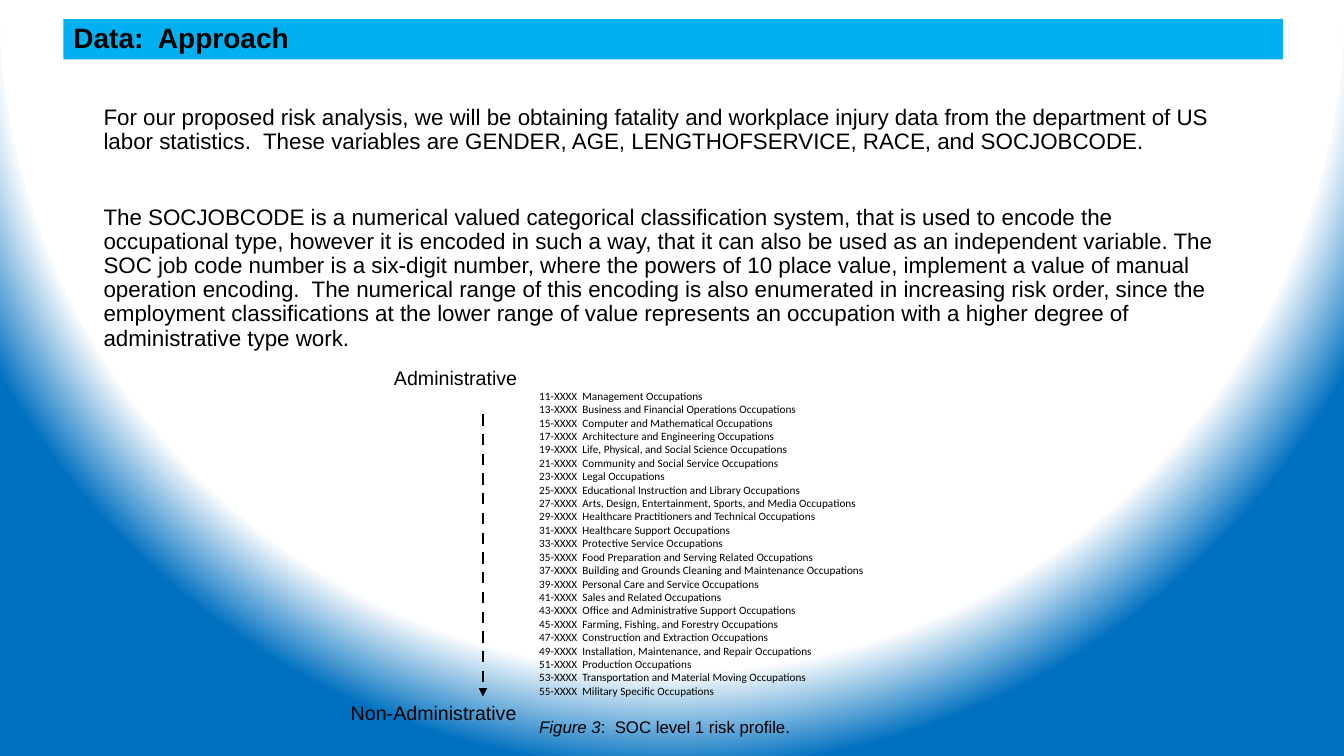
from lxml import etree
from pptx import Presentation
from pptx.dml.color import RGBColor
from pptx.enum import dml, shapes, text
from pptx.oxml import parse_xml
from pptx.oxml.ns import nsdecls, qn
from pptx.util import Cm, Pt


def color(value):
    return RGBColor.from_string(value)


def add_text(left, top, width, height, lines, size, font="Arial", wrap=True):
    tf = s.shapes.add_textbox(Cm(left), Cm(top), Cm(width), Cm(height)).text_frame
    tf.word_wrap = wrap
    tf.text = "\n".join(lines)
    for p in tf.paragraphs:
        for r in p.runs:
            r.font.name = font
            r.font.size = Pt(size)
            r.font.color.rgb = color("000000")
    return tf


prs = Presentation()
prs.slide_width, prs.slide_height = Cm(33.87), Cm(19.05)
s = prs.slides.add_slide(prs.slide_layouts[6])

fill = s.background.fill
fill.gradient()
for stop, (position, value) in zip(fill.gradient_stops, [(0.87, "FFFFFF"), (1, "0070C0")]):
    stop.position = position
    stop.color.rgb = color(value)
lin = next(s.background._cSld.iter(qn("a:lin")))
lin.getparent().replace(lin, parse_xml(
    f'<a:path {nsdecls("a")} path="circle">'
    '<a:fillToRect l="50000" t="-80000" r="50000" b="180000"/></a:path>'))

approach = [
    "For our proposed risk analysis, we will be obtaining fatality and workplace injury data "
    "from the department of US labor statistics.  These variables are GENDER, AGE, "
    "LENGTHOFSERVICE, RACE, and SOCJOBCODE.",
    "The SOCJOBCODE is a numerical valued categorical classification system, that is used to "
    "encode the occupational type, however it is encoded in such a way, that it can also be used "
    "as an independent variable. The SOC job code number is a six-digit number, where the powers "
    "of 10 place value, implement a value of manual operation encoding.  The numerical range of "
    "this encoding is also enumerated in increasing risk order, since the employment "
    "classifications at the lower range of value represents an occupation with a higher degree "
    "of administrative type work.",
]
tf = add_text(2.36, 2.54, 29.21, 10.15, approach, 16)
for p in tf.paragraphs:
    p.line_spacing = 0.9
tf.paragraphs[1].space_before = Pt(37)

occupations = [
    "Management",
    "Business and Financial Operations",
    "Computer and Mathematical",
    "Architecture and Engineering",
    "Life, Physical, and Social Science",
    "Community and Social Service",
    "Legal",
    "Educational Instruction and Library",
    "Arts, Design, Entertainment, Sports, and Media",
    "Healthcare Practitioners and Technical",
    "Healthcare Support",
    "Protective Service",
    "Food Preparation and Serving Related",
    "Building and Grounds Cleaning and Maintenance",
    "Personal Care and Service",
    "Sales and Related",
    "Office and Administrative Support",
    "Farming, Fishing, and Forestry",
    "Construction and Extraction",
    "Installation, Maintenance, and Repair",
    "Production",
    "Transportation and Material Moving",
    "Military Specific",
]
codes = [f"{11 + 2 * i}-XXXX  {name} Occupations" for i, name in enumerate(occupations)]
add_text(13.34, 9.68, 8.79, 8.13, codes, 8, "Calibri", wrap=False)

arrow = s.shapes.add_connector(
    shapes.MSO_CONNECTOR.STRAIGHT, Cm(12.17), Cm(10.44), Cm(12.17), Cm(17.55))
arrow.line.color.rgb = color("000000")
arrow.line.width = Pt(2)
arrow.line.dash_style = dml.MSO_LINE.DASH
etree.SubElement(arrow.line._get_or_add_ln(), qn("a:tailEnd"), type="triangle")
etree.SubElement(arrow._element.spPr, qn("a:effectLst"))

add_text(9.68, 9.09, 4.39, 0.86, ["Administrative"], 14)
add_text(8.59, 17.53, 4.75, 0.86, ["Non-Administrative"], 14)

title = s.shapes.add_shape(shapes.MSO_SHAPE.RECTANGLE, Cm(1.6), Cm(0.48), Cm(30.73), Cm(1.02))
title.shadow.inherit = False
title.fill.solid()
title.fill.fore_color.rgb = color("00B0F0")
title.line.fill.background()
tf = title.text_frame
tf.text = "Data:  Approach"
tf.vertical_anchor = text.MSO_ANCHOR.MIDDLE
p = tf.paragraphs[0]
p.alignment = text.PP_ALIGN.LEFT
p.line_spacing = 0.9
r = p.runs[0]
r.font.name = "Arial"
r.font.size = Pt(20)
r.font.bold = True
r.font.color.rgb = color("000000")

tf = add_text(13.34, 17.86, 6.88, 0.84, ["Figure 3"], 12, wrap=False)
p = tf.paragraphs[0]
p.line_spacing = 1.15
p.runs[0].font.italic = True
r = p.add_run()
r.text = ":  SOC level 1 risk profile."
r.font.name = "Arial"
r.font.size = Pt(12)
r.font.color.rgb = color("000000")

prs.save("out.pptx")
